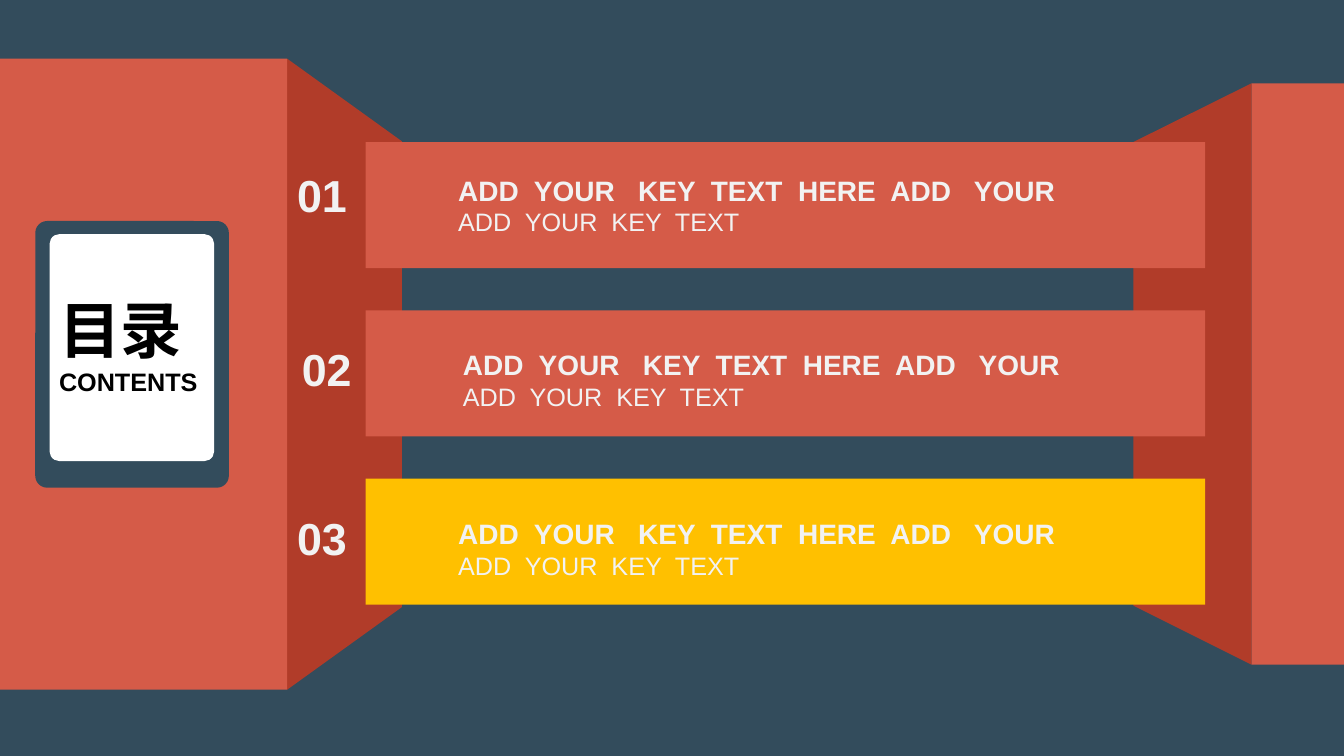
from dataclasses import dataclass

from pptx import Presentation
from pptx import util as u
from pptx.dml.color import RGBColor
from pptx.enum import shapes, text

SLATE = RGBColor(0x33, 0x4C, 0x5C)
CORAL = RGBColor(0xD5, 0x5B, 0x48)
RUST = RGBColor(0xB1, 0x3C, 0x29)
GOLD = RGBColor(0xFF, 0xC0, 0x00)
WHITE = RGBColor(0xFF, 0xFF, 0xFF)
PALE = RGBColor(0xF2, 0xF2, 0xF2)
BLACK = RGBColor(0x00, 0x00, 0x00)
FONT = "Arial"


@dataclass
class Panel:
    x: float
    y: float
    w: float
    h: float
    color: RGBColor
    round: float = 0


@dataclass
class Wall:
    points: list[tuple[float, float]]


@dataclass
class Line:
    words: str
    size: int
    bold: bool = True


@dataclass
class Label:
    x: float
    y: float
    w: float
    h: float
    color: RGBColor
    lines: list[Line]


@dataclass
class Item:
    number: str
    x: float
    y: float
    color: RGBColor


WALLS = [
    Wall([(7.24, 1.48), (10.13, 3.56), (10.13, 15.3), (7.24, 17.38)]),
    Wall([(31.55, 2.1), (28.57, 3.58), (28.57, 15.26), (31.55, 16.75)]),
]
SIDES = [
    Panel(0, 1.48, 7.24, 15.9, CORAL),
    Panel(31.55, 2.1, 2.33, 14.65, CORAL),
]
TABLET = [
    Panel(0.89, 5.57, 4.88, 6.72, SLATE, 0.3),
    Panel(1.25, 5.9, 4.15, 5.72, WHITE, 0.25),
]
TITLE = Label(1.24, 7.24, 5.49, 2.9, BLACK,
              [Line("目录", 44), Line("CONTENTS", 18)])
ITEMS = [
    Item("01", 7.24, 4.09, CORAL),
    Item("02", 7.36, 8.48, CORAL),
    Item("03", 7.24, 12.75, GOLD),
]
COPY = [
    Line("ADD  YOUR   KEY  TEXT  HERE  ADD   YOUR", 20),
    Line("ADD  YOUR  KEY  TEXT", 18, False),
]
BAR_TOP, BAR_STEP = 3.58, 4.24


def paint(shape, color: RGBColor) -> None:
    shape.shadow.inherit = False
    shape.fill.solid()
    shape.fill.fore_color.rgb = color
    shape.line.fill.background()


def draw_wall(slide, wall: Wall) -> None:
    first, *rest = [(u.Cm(x), u.Cm(y)) for x, y in wall.points]
    outline = slide.shapes.build_freeform(*first)
    outline.add_line_segments(rest, close=True)
    paint(outline.convert_to_shape(), RUST)


def draw_panel(slide, panel: Panel) -> None:
    kinds = shapes.MSO_SHAPE
    kind = kinds.ROUNDED_RECTANGLE if panel.round else kinds.RECTANGLE
    shape = slide.shapes.add_shape(
        kind, u.Cm(panel.x), u.Cm(panel.y), u.Cm(panel.w), u.Cm(panel.h))
    if panel.round:
        shape.adjustments[0] = panel.round / min(panel.w, panel.h)
    paint(shape, panel.color)


def draw_label(slide, label: Label) -> None:
    box = slide.shapes.add_textbox(
        u.Cm(label.x), u.Cm(label.y), u.Cm(label.w), u.Cm(label.h))
    frame = box.text_frame
    frame.word_wrap = True
    frame.auto_size = text.MSO_AUTO_SIZE.SHAPE_TO_FIT_TEXT
    for index, line in enumerate(label.lines):
        para = frame.add_paragraph() if index else frame.paragraphs[0]
        run = para.add_run()
        run.text = line.words
        run.font.name = FONT
        run.font.size = u.Pt(line.size)
        run.font.bold = line.bold
        run.font.color.rgb = label.color


def main() -> None:
    deck = Presentation()
    deck.slide_width, deck.slide_height = u.Cm(33.88), u.Cm(19.05)
    slide = deck.slides.add_slide(deck.slide_layouts[6])
    slide.background.fill.solid()
    slide.background.fill.fore_color.rgb = SLATE

    for wall in WALLS:
        draw_wall(slide, wall)
    bars = [Panel(9.22, BAR_TOP + row * BAR_STEP, 21.16, 3.18, item.color)
            for row, item in enumerate(ITEMS)]
    for panel in SIDES + bars + TABLET:
        draw_panel(slide, panel)

    draw_label(slide, TITLE)
    for item in ITEMS:
        draw_label(slide, Label(item.x + 4.06, item.y + 0.15, 18.03, 1.88,
                                PALE, COPY))
        draw_label(slide, Label(item.x, item.y, 1.97, 1.62, PALE,
                                [Line(item.number, 32)]))
    deck.save("out.pptx")


if __name__ == "__main__":
    main()
